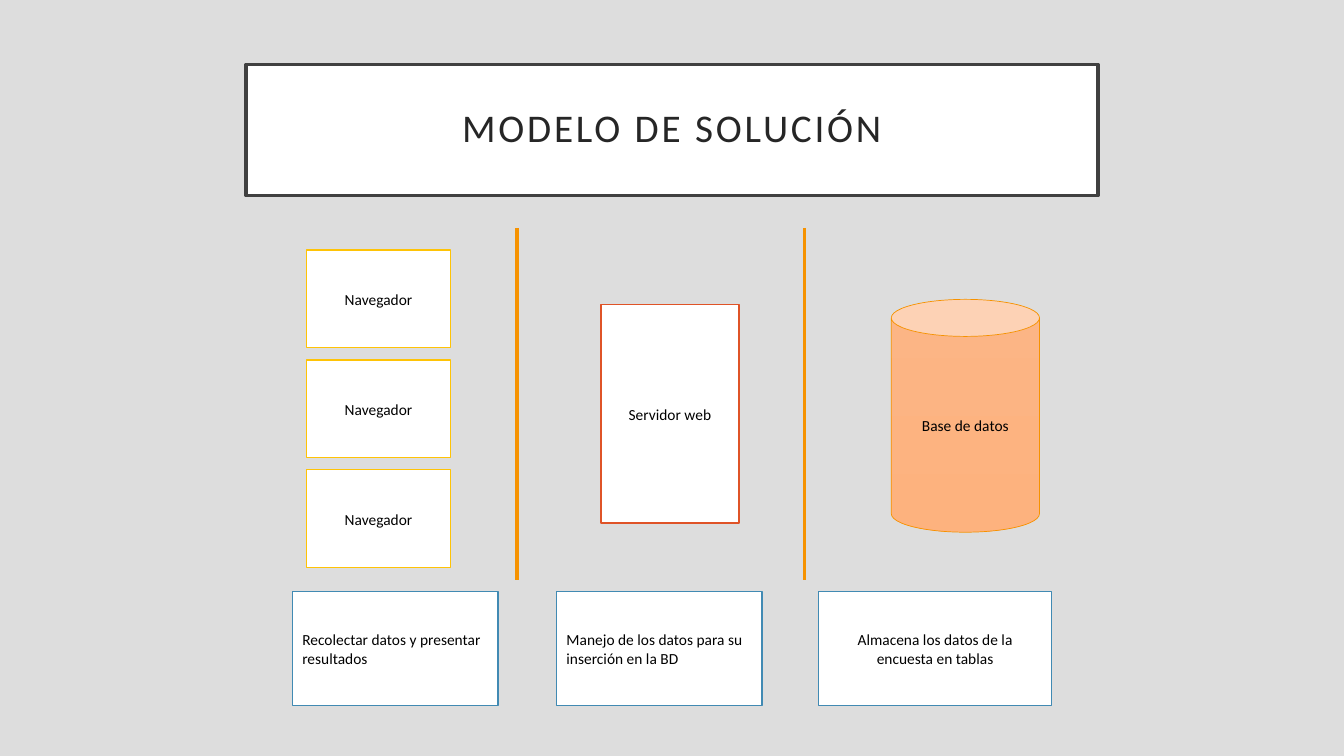
from lxml import etree
from pptx import Presentation
from pptx.dml.color import RGBColor
from pptx.enum.shapes import MSO_CONNECTOR, MSO_SHAPE
from pptx.enum.text import MSO_ANCHOR, MSO_AUTO_SIZE, PP_ALIGN
from pptx.oxml.ns import qn
from pptx.util import Inches, Pt

RECT, CAN = MSO_SHAPE.RECTANGLE, MSO_SHAPE.CAN
STRAIGHT = MSO_CONNECTOR.STRAIGHT
LEFT, CENTER = PP_ALIGN.LEFT, PP_ALIGN.CENTER
MIDDLE = MSO_ANCHOR.MIDDLE

BACKGROUND = RGBColor(0xDD, 0xDD, 0xDD)
WHITE = RGBColor(0xFF, 0xFF, 0xFF)
BLACK = RGBColor(0, 0, 0)
TITLE_TEXT = RGBColor(0x26, 0x26, 0x26)
TITLE_BORDER = RGBColor(0x40, 0x40, 0x40)
YELLOW = RGBColor(0xFE, 0xC3, 0x06)
RED = RGBColor(0xDF, 0x53, 0x27)
ORANGE = RGBColor(0xF6, 0x92, 0x00)
BLUE = RGBColor(0x41, 0x8A, 0xB3)
CAN_TOP = RGBColor(0xFC, 0xB5, 0x85)
CAN_BOTTOM = RGBColor(0xFD, 0xB2, 0x7E)

FONT = "Calibri"
TITLE = "MODELO DE SOLUCIÓN"
TITLE_BOX = (2.44, 0.64, 8.45, 1.3)

BROWSERS = ["Navegador"] * 3
BROWSER_BOX = (3.04, 2.48, 1.43, 0.97)
BROWSER_PITCH = 1.09
SERVER = ("Servidor web", (5.96, 3.02, 1.37, 2.17))
DATABASE = ("Base de datos", (8.84, 2.97, 1.47, 2.31))

DIVIDERS = (5.13, 7.98)
DIVIDER_TOP, DIVIDER_BOTTOM = 2.26, 5.75

NOTE_TOP, NOTE_HEIGHT = 5.87, 1.13
# text, left, width, alignment
NOTES = [
    ("Recolectar datos y presentar resultados", 2.9, 2.04, LEFT),
    ("Manejo de los datos para su inserción en la BD", 5.52, 2.04, LEFT),
    ("Almacena los datos de la encuesta en tablas", 8.12, 2.31, CENTER),
]


def write(sp, text, size=11, color=BLACK, align=CENTER, line_spacing=1.0,
          after=0, tracking=None):
    tf = sp.text_frame
    tf.word_wrap = True
    tf.auto_size = MSO_AUTO_SIZE.NONE
    tf.vertical_anchor = MIDDLE
    p = tf.paragraphs[0]
    p.alignment = align
    p.line_spacing = line_spacing
    p.space_after = Pt(after)
    r = p.add_run()
    r.text = text
    r.font.name = FONT
    r.font.size = Pt(size)
    r.font.color.rgb = color
    if tracking:
        r.font._element.set("spc", str(tracking * 100))


def style(sp, border, width=1):
    sp.fill.solid()
    sp.fill.fore_color.rgb = WHITE
    sp.line.color.rgb = border
    sp.line.width = Pt(width)


def add_box(s, text, box, border, width=1, kind=RECT, **text_format):
    sp = s.shapes.add_shape(kind, *map(Inches, box))
    sp.shadow.inherit = False
    style(sp, border, width)
    write(sp, text, **text_format)
    return sp


def add_title(s):
    sp = s.shapes.title
    sp.left, sp.top, sp.width, sp.height = map(Inches, TITLE_BOX)
    style(sp, TITLE_BORDER, 2.5)
    tf = sp.text_frame
    tf.margin_left = tf.margin_right = Inches(0.2)
    tf.margin_top = tf.margin_bottom = Inches(0.2)
    write(sp, TITLE, size=28, color=TITLE_TEXT, line_spacing=0.9, tracking=2)


def add_divider(s, x):
    line = s.shapes.add_connector(STRAIGHT, Inches(x), Inches(DIVIDER_TOP),
                                  Inches(x), Inches(DIVIDER_BOTTOM))
    line.line.color.rgb = ORANGE
    line.line.width = Pt(2.5)
    etree.SubElement(line._element.spPr, qn("a:effectLst"))


def add_components(s):
    spacing = {"line_spacing": 1.07, "after": 8}
    left, top, width, height = BROWSER_BOX
    for i, text in enumerate(BROWSERS):
        box = (left, top + i * BROWSER_PITCH, width, height)
        add_box(s, text, box, YELLOW, **spacing)
    add_box(s, *SERVER, RED, **spacing)
    can = add_box(s, *DATABASE, ORANGE, width=0.5, kind=CAN, **spacing)
    can.fill.gradient()
    can.fill.gradient_angle = 270
    for stop, color in zip(can.fill.gradient_stops, (CAN_TOP, CAN_BOTTOM)):
        stop.color.rgb = color


def main():
    prs = Presentation()
    prs.slide_width, prs.slide_height = Inches(13.33), Inches(7.5)
    s = prs.slides.add_slide(prs.slide_layouts.get_by_name("Title Only"))
    s.background.fill.solid()
    s.background.fill.fore_color.rgb = BACKGROUND
    add_title(s)
    add_components(s)
    for x in DIVIDERS:
        add_divider(s, x)
    for text, left, width, align in NOTES:
        box = (left, NOTE_TOP, width, NOTE_HEIGHT)
        add_box(s, text, box, BLUE, align=align)
    prs.save("out.pptx")


if __name__ == "__main__":
    main()
